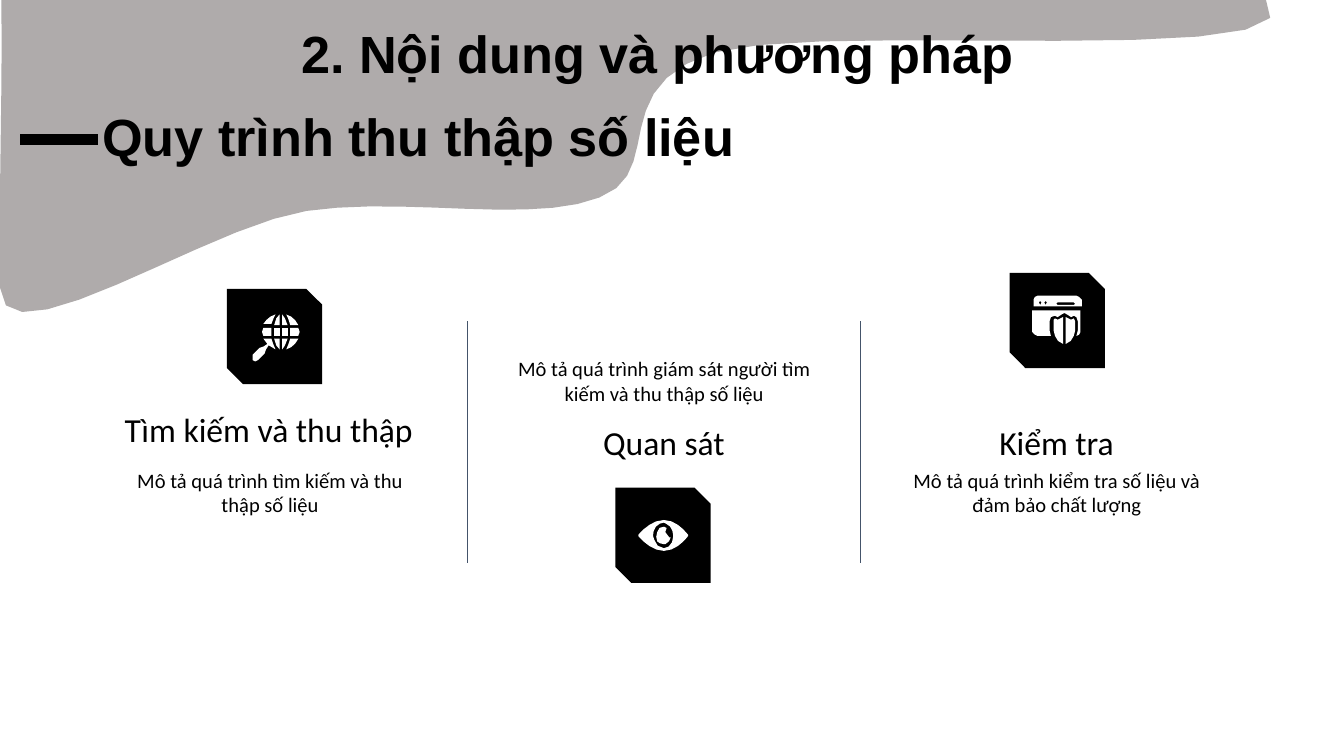
from dataclasses import dataclass
from math import ceil, dist

from lxml.etree import SubElement
from pptx import Presentation
from pptx.dml.color import RGBColor
from pptx.enum.shapes import MSO_CONNECTOR as Link, MSO_SHAPE as Preset
from pptx.enum.text import MSO_ANCHOR as Anchor, MSO_AUTO_SIZE as Fit, PP_ALIGN as Align
from pptx.oxml.ns import qn
from pptx.util import Cm, Pt

BLACK, WHITE, GREY, SLATE = "000000", "FFFFFF", "AFABAB", "44546A"
UNIT = Cm(0.0254)
STEP_LENGTH = 5
MAX_STEPS = 10
BADGE_SIZE = 1.8
COLUMN_WIDTH = 7.42
COLUMN_LEFT = 1.37
DIVIDERS = (8.84, 16.26)


@dataclass
class Area:
    left: float
    top: float
    width: float
    height: float

    def lengths(self) -> list:
        return [Cm(value) for value in (self.left, self.top, self.width, self.height)]


@dataclass
class Stage:
    heading: str
    heading_area: Area
    body: str
    body_area: Area
    badge_left: float
    badge_top: float
    icon: tuple


WAVE = ("M 942 0|L 1 0|C 2 71 -1 143 0 214|C 0 274 154 168 228 157|C 302 146 396 167 446 147"
        "|C 497 128 449 64 532 39|C 614 15 993 53 942 0")

GLOBE = (
    "M 208 234|C 206 235 205 238 204 242|L 208 242",
    "M 204 252|C 205 256 206 259 208 260|L 208 252",
    "M 204 244|L 204 250|L 208 250|L 208 244",
    "M 213 234|C 214 236 215 238 216 242|L 222 242|C 220 238 217 235 213 234",
    "M 216 244|L 216 250|L 222 250|L 223 247|L 222 244",
    "M 210 234|L 210 242|L 214 242|C 213 238 211 235 210 234",
    "M 210 252|L 210 260|C 211 259 213 256 214 252",
    "M 196 252|L 199 256|L 196 258|L 193 259|L 188 264|C 187 265 187 267 188 268|L 190 269"
    "|L 192 268|L 197 263|L 198 260|L 200 257|L 205 260|C 204 258 203 255 202 252",
    "M 216 252|C 215 255 214 258 213 260|C 217 259 220 256 222 252",
    "M 196 244|L 195 247|L 196 250|L 202 250|L 202 244",
    "M 205 234|C 201 235 198 238 196 241|L 202 241|C 203 238 204 236 205 234",
    "M 210 244|L 210 250|L 214 250|L 214 244",
)

EYE = (
    "M 494 389|L 496 390|C 499 391 501 395 501 399|C 501 404 498 408 494 408"
    "|C 490 408 488 405 487 402|C 485 399 486 395 488 392|C 490 390 492 389 494 389"
    "|M 494 387|C 484 387 476 397 475 398|L 475 399|C 476 400 484 410 494 410"
    "|C 504 410 511 400 512 399|L 512 398|C 511 397 504 387 494 387",
    "M 494 392|C 491 392 490 393 489 396|C 488 398 488 401 489 403|C 490 404 492 405 494 405"
    "|L 495 405|C 497 404 499 402 499 400|L 498 400|C 496 400 495 398 495 396|L 496 393",
)

SHIELD = (
    "M 774 224|L 775 225|L 774 227|L 773 225"
    "|M 778 224|L 779 225|L 778 227|L 777 225"
    "|M 799 225|L 800 226|L 799 227|L 787 227|L 786 226|L 787 225"
    "|M 772 220|L 770 221|L 769 223|L 769 228|L 805 228|L 805 223|L 803 221|L 801 220",
    "M 768 231|L 768 247|L 770 249|L 772 250|L 782 250|L 781 246|L 781 239|L 782 236|L 785 235"
    "|L 787 236|L 790 234|L 792 233|L 794 234|L 797 236|L 799 235|L 801 236|L 802 239"
    "|L 802 246|L 801 250|L 803 249|L 804 247|L 804 231",
    "M 791 236|L 787 238|L 785 237|L 784 238|L 784 246|L 785 250|C 786 253 788 255 791 256",
    "M 793 236|L 793 256|C 796 255 798 253 799 250|L 800 246|L 800 239|L 799 237|L 797 238",
)

HEADING_AREAS = [Area(COLUMN_LEFT, 7.57, COLUMN_WIDTH, 1.19)] + [
    Area(left, 7.8, COLUMN_WIDTH, 1.19) for left in DIVIDERS
]

STAGES = (
    Stage("Tìm kiếm và thu thập", HEADING_AREAS[0],
          "Mô tả quá trình tìm kiếm và thu thập số liệu", Area(2.26, 8.59, 5.69, 1.85),
          4.29, 5.46, GLOBE),
    Stage("Quan sát", HEADING_AREAS[1],
          "Mô tả quá trình giám sát người tìm kiếm và thu thập số liệu",
          Area(9.47, 6.48, 6.17, 1.8), 11.63, 9.22, EYE),
    Stage("Kiểm tra", HEADING_AREAS[2],
          "Mô tả quá trình kiểm tra số liệu và đảm bảo chất lượng",
          Area(16.89, 8.59, 6.17, 2.79), 19.08, 5.16, SHIELD),
)


def color(value: str) -> RGBColor:
    return RGBColor.from_string(value)


def paint(shape, fill: str) -> None:
    shape.fill.solid()
    shape.fill.fore_color.rgb = color(fill)
    shape.line.fill.background()
    shape.shadow.inherit = False


def flatten(outline: str) -> list:
    contours = []
    for step in outline.split("|"):
        letter, *words = step.split()
        values = [int(word) * UNIT for word in words]
        points = list(zip(values[::2], values[1::2]))
        if letter == "M":
            contours.append(points)
        elif letter == "L":
            contours[-1].extend(points)
        else:
            corners = [contours[-1][-1], *points]
            length = dist(corners[0], corners[-1]) / UNIT
            count = min(MAX_STEPS, ceil(length / STEP_LENGTH))
            for index in range(1, count + 1):
                t = index / count
                weights = ((1 - t) ** 3, 3 * t * (1 - t) ** 2, 3 * t * t * (1 - t), t ** 3)
                contours[-1].append(tuple(
                    sum(weight * corner[axis] for weight, corner in zip(weights, corners))
                    for axis in (0, 1)))
    return contours


def draw_outline(page, outline: str, fill: str) -> None:
    first, *others = flatten(outline)
    builder = page.shapes.build_freeform(*first[0])
    builder.add_line_segments(first[1:], close=True)
    for contour in others:
        builder.move_to(*contour[0])
        builder.add_line_segments(contour[1:], close=True)
    paint(builder.convert_to_shape(), fill)


def draw_line(page, start: tuple, end: tuple, stroke: str, width: float) -> None:
    ends = [Cm(value) for value in (*start, *end)]
    line = page.shapes.add_connector(Link.STRAIGHT, *ends)
    line.line.color.rgb = color(stroke)
    line.line.width = Pt(width)
    SubElement(line._element.spPr, qn("a:effectLst"))


def write_text(box, text: str, *, size: float, font: str = "Calibri", bold: bool = False,
               align=Align.CENTER, anchor=Anchor.TOP, spacing: float = 1.0) -> None:
    frame = box.text_frame
    frame.word_wrap = True
    frame.auto_size = Fit.NONE
    frame.vertical_anchor = anchor
    frame.margin_left = frame.margin_right = frame.margin_top = frame.margin_bottom = Cm(0.25)
    para = frame.paragraphs[0]
    para.alignment = align
    para.line_spacing = spacing
    span = para.add_run()
    span.text = text
    span.font.name, span.font.size, span.font.bold = font, Pt(size), bold
    span.font.color.rgb = color(BLACK)


def draw_stage(page, stage: Stage) -> None:
    heading = page.shapes.add_textbox(*stage.heading_area.lengths())
    write_text(heading, stage.heading, size=18, anchor=Anchor.BOTTOM, spacing=0.9)
    body = page.shapes.add_textbox(*stage.body_area.lengths())
    write_text(body, stage.body, size=11)
    badge_area = Area(stage.badge_left, stage.badge_top, BADGE_SIZE, BADGE_SIZE)
    badge = page.shapes.add_shape(Preset.SNIP_2_DIAG_RECTANGLE, *badge_area.lengths())
    paint(badge, BLACK)
    for outline in stage.icon:
        draw_outline(page, outline, WHITE)


def main() -> None:
    deck = Presentation()
    deck.slide_width, deck.slide_height = Cm(25.4), Cm(14.29)
    page = deck.slides.add_slide(deck.slide_layouts[5])
    draw_outline(page, WAVE, GREY)
    title = page.shapes.title
    title.left, title.top, title.width, title.height = Area(4.93, 0.15, 14.48, 2.62).lengths()
    write_text(title, "2. Nội dung và phương pháp", size=28, font="Arial", bold=True,
               align=Align.RIGHT)
    page.shapes._spTree.append(title._element)
    subtitle = page.shapes.add_textbox(*Area(1.68, 1.73, 15.95, 1.85).lengths())
    write_text(subtitle, "Quy trình thu thập số liệu", size=28, font="Arial", bold=True,
               align=Align.LEFT)
    draw_line(page, (0.38, 2.64), (1.85, 2.64), BLACK, 6)
    for left in DIVIDERS:
        draw_line(page, (left, 6.07), (left, 10.64), SLATE, 0.75)
    for stage in STAGES:
        draw_stage(page, stage)
    deck.save("out.pptx")


if __name__ == "__main__":
    main()
